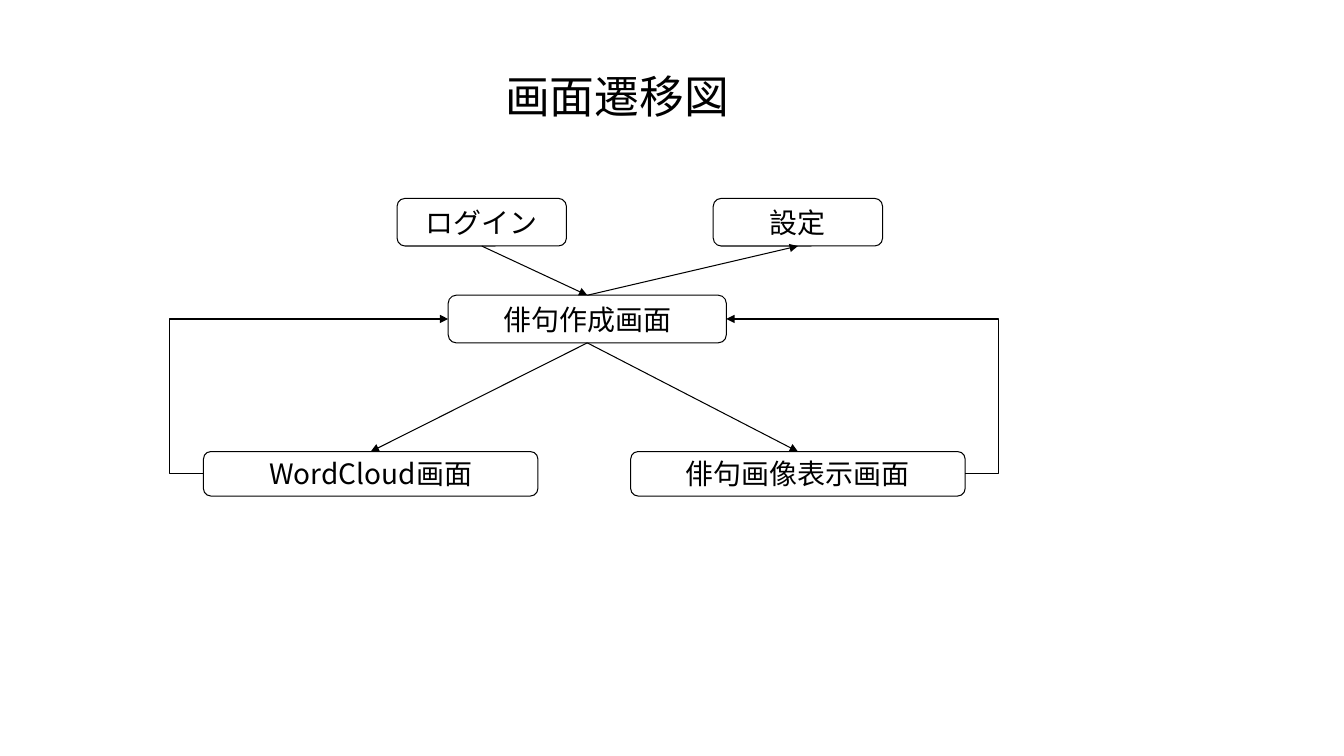
from lxml.etree import SubElement
from pptx import Presentation
from pptx.dml.color import RGBColor
from pptx.enum.shapes import MSO_CONNECTOR, MSO_SHAPE
from pptx.enum.text import MSO_ANCHOR, PP_ALIGN
from pptx.oxml.ns import qn
from pptx.util import Cm, Pt

BLACK = RGBColor(0x00, 0x00, 0x00)
TOP, LEFT, BOTTOM, RIGHT = range(4)


class ScreenFlow:
    font_name = "Noto Sans CJK JP"
    line_width = Pt(0.75)
    detour = Cm(0.85)

    def __init__(self, slide):
        self.slide = slide

    def label(self, frame, wording, size, anchor, wrap):
        frame.text = wording
        frame.word_wrap = wrap
        frame.vertical_anchor = anchor
        paragraph = frame.paragraphs[0]
        paragraph.alignment = PP_ALIGN.CENTER
        for run in paragraph.runs:
            run.font.size = Pt(size)
            run.font.name = self.font_name
            run.font.color.rgb = BLACK
            east_asian = SubElement(run.font._element, qn("a:ea"))
            east_asian.set("typeface", self.font_name)
        return paragraph

    def title(self, wording, left, top, width, height):
        heading = self.slide.shapes.add_textbox(Cm(left), Cm(top), Cm(width), Cm(height))
        paragraph = self.label(heading.text_frame, wording, 32, MSO_ANCHOR.BOTTOM, True)
        paragraph.line_spacing = 0.9

    def screen(self, wording, left, top, width, height):
        screen = self.slide.shapes.add_shape(
            MSO_SHAPE.ROUNDED_RECTANGLE, Cm(left), Cm(top), Cm(width), Cm(height))
        screen.shadow.inherit = False
        screen.fill.background()
        screen.line.color.rgb = BLACK
        screen.line.width = self.line_width
        self.label(screen.text_frame, wording, 20, MSO_ANCHOR.MIDDLE, False)
        return screen

    def connector(self, kind, begin_x, begin_y, end_x, end_y):
        connector = self.slide.shapes.add_connector(kind, begin_x, begin_y, end_x, end_y)
        connector.line.color.rgb = BLACK
        connector.line.width = self.line_width
        SubElement(connector.line._get_or_add_ln(), qn("a:tailEnd")).set("type", "triangle")
        SubElement(connector._element.spPr, qn("a:effectLst"))
        return connector

    def arrow(self, source, source_side, target, target_side):
        arrow = self.connector(MSO_CONNECTOR.STRAIGHT, 0, 0, 0, 0)
        arrow.begin_connect(source, source_side)
        arrow.end_connect(target, target_side)

    def return_path(self, source, target, side):
        begin_x, end_x = (
            box.left + (box.width if side == RIGHT else 0) for box in (source, target))
        route = self.connector(
            MSO_CONNECTOR.ELBOW, begin_x, source.top + source.height // 2,
            end_x, target.top + target.height // 2)
        adjustments = route._element.spPr.find(qn("a:prstGeom")).get_or_add_avLst()
        bend = SubElement(adjustments, qn("a:gd"))
        bend.set("name", "adj1")
        bend.set("fmla", f"val {round(-100000 * self.detour / route.width)}")


def main():
    presentation = Presentation()
    presentation.slide_width = Cm(33.88)
    presentation.slide_height = Cm(19.05)
    flow = ScreenFlow(presentation.slides.add_slide(presentation.slide_layouts[6]))

    flow.title("画面遷移図", 9.86, -0.46, 11.4, 3.68)
    login = flow.screen("ログイン", 10.01, 5, 4.27, 1.2)
    settings = flow.screen("設定", 17.98, 5, 4.27, 1.2)
    haiku_editor = flow.screen("俳句作成画面", 11.3, 7.44, 7.01, 1.2)
    word_cloud = flow.screen("WordCloud画面", 5.13, 11.38, 8.43, 1.12)
    haiku_image = flow.screen("俳句画像表示画面", 15.9, 11.38, 8.43, 1.12)

    flow.arrow(login, BOTTOM, haiku_editor, TOP)
    flow.arrow(haiku_editor, TOP, settings, BOTTOM)
    for result, side in ((word_cloud, LEFT), (haiku_image, RIGHT)):
        flow.arrow(haiku_editor, BOTTOM, result, TOP)
        flow.return_path(result, haiku_editor, side)

    presentation.save("out.pptx")


if __name__ == "__main__":
    main()
